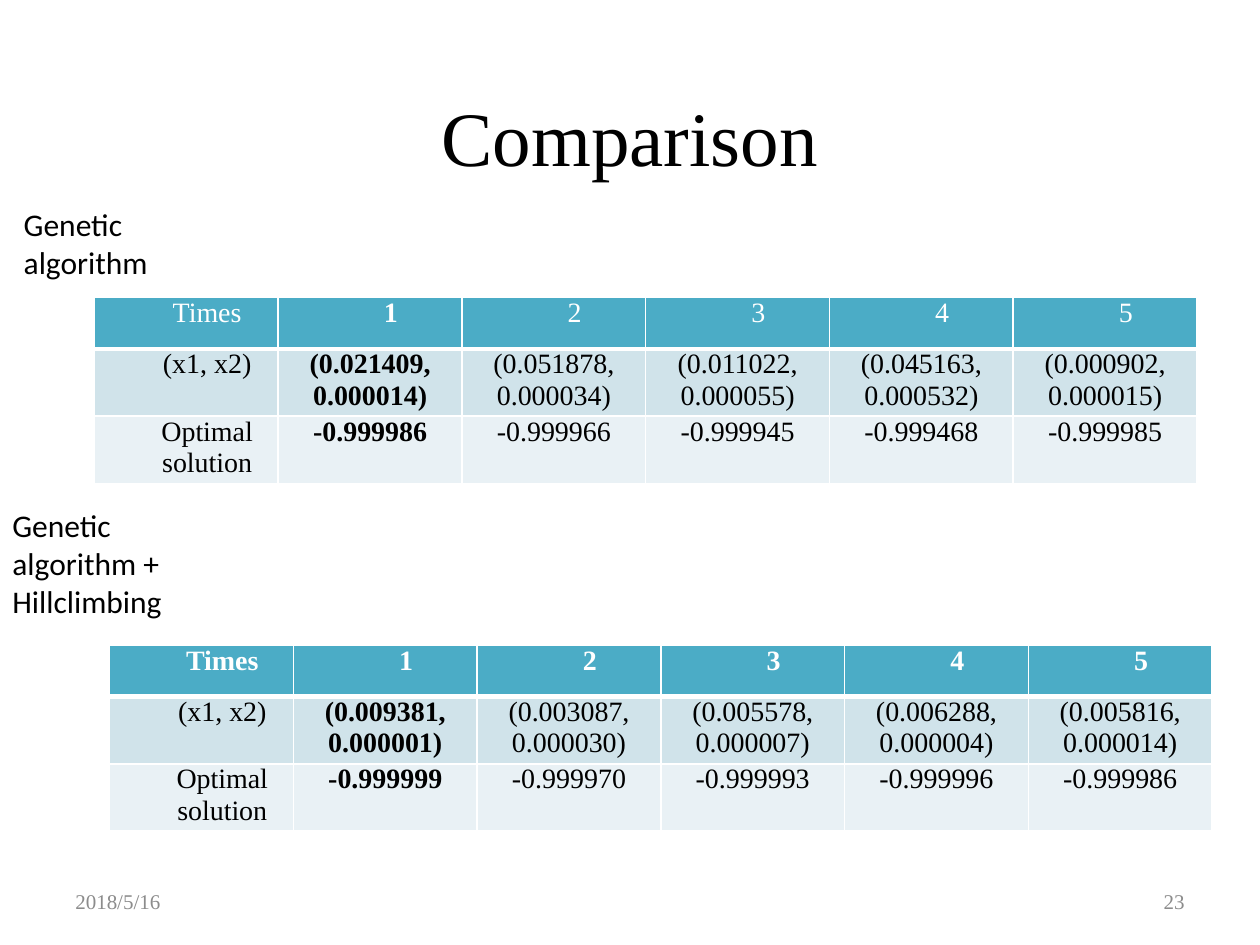
from dataclasses import dataclass

from lxml.etree import SubElement
from pptx import Presentation
from pptx.dml.color import RGBColor
from pptx.enum.text import MSO_ANCHOR, MSO_AUTO_SIZE, PP_ALIGN
from pptx.oxml.ns import qn
from pptx.util import Inches, Pt


@dataclass(frozen=True)
class Theme:
    serif: str = "Times New Roman"
    sans: str = "Calibri"
    black: str = "000000"
    white: str = "FFFFFF"
    grey: str = "8C8C8C"
    row_fills: tuple = ("4BACC6", "D0E3EA", "E9F1F5")
    title_size: int = 44
    label_size: int = 18
    table_size: int = 16
    footer_size: int = 12
    thin_line: int = 1
    thick_line: int = 3


class SlideBuilder:
    """Places elements on a grid of 100 columns by 75 rows."""

    def __init__(self, presentation, theme):
        self.theme = theme
        self.column = presentation.slide_width / 100
        self.row = presentation.slide_height / 75
        title_only = presentation.slide_layouts[5]
        self.slide = presentation.slides.add_slide(title_only)

    def area(self, left, top, width, height):
        return (round(left * self.column), round(top * self.row),
                round(width * self.column), round(height * self.row))

    def styled_text(self, text_frame, text, font, size, color,
                    bold=False, align=PP_ALIGN.LEFT):
        text_frame.text = text
        paragraph = text_frame.paragraphs[0]
        paragraph.alignment = align
        style = paragraph.runs[0].font
        style.name, style.size, style.bold = font, Pt(size), bold
        style.color.rgb = RGBColor.from_string(color)
        return paragraph

    def title(self, text, area):
        shape = self.slide.shapes.title
        shape.left, shape.top, shape.width, shape.height = self.area(*area)
        shape.text_frame.vertical_anchor = MSO_ANCHOR.MIDDLE
        self.styled_text(shape.text_frame, text, self.theme.serif,
                         self.theme.title_size, self.theme.black,
                         align=PP_ALIGN.CENTER)

    def text_box(self, area):
        text_frame = self.slide.shapes.add_textbox(*self.area(*area)).text_frame
        text_frame.word_wrap = True
        return text_frame

    def label(self, text, area):
        text_frame = self.text_box(area)
        text_frame.auto_size = MSO_AUTO_SIZE.SHAPE_TO_FIT_TEXT
        self.styled_text(text_frame, text, self.theme.sans,
                         self.theme.label_size, self.theme.black)

    def footer(self, text, area, align):
        text_frame = self.text_box(area)
        text_frame.vertical_anchor = MSO_ANCHOR.MIDDLE
        self.styled_text(text_frame, text, self.theme.serif,
                         self.theme.footer_size, self.theme.grey, align=align)

    def border(self, cell, side, width):
        line = SubElement(cell._tc.get_or_add_tcPr(), qn(f"a:ln{side}"),
                          w=str(Pt(width)))
        solid_fill = SubElement(line, qn("a:solidFill"))
        SubElement(solid_fill, qn("a:srgbClr"), val=self.theme.white)

    def cell(self, cell, text, row, column, bold):
        theme = self.theme
        cell.margin_left = cell.margin_right = Inches(0.07)
        cell.margin_top = cell.margin_bottom = 0
        color = theme.white if row == 0 else theme.black
        paragraph = self.styled_text(cell.text_frame, text, theme.serif,
                                     theme.table_size, color, bold,
                                     PP_ALIGN.CENTER)
        if row == 0 or column == 0:
            paragraph._p.get_or_add_pPr().set("marL", str(Inches(0.33)))
        widths = {"L": theme.thin_line, "R": theme.thin_line,
                  "T": theme.thick_line if row == 1 else theme.thin_line,
                  "B": theme.thick_line if row == 0 else theme.thin_line}
        for side, width in widths.items():
            self.border(cell, side, width)
        cell.fill.solid()
        cell.fill.fore_color.rgb = RGBColor.from_string(theme.row_fills[row])

    def results_table(self, rows, left, top, bold_header):
        """Adds a table whose first result column is bold."""
        area = self.area(left, top, 87.5, 4.1 * len(rows))
        table = self.slide.shapes.add_table(len(rows), len(rows[0]), *area).table
        for row, texts in enumerate(rows):
            for column, text in enumerate(texts):
                bold = column == 1 or (row == 0 and bold_header)
                self.cell(table.cell(row, column), text, row, column, bold)


HEADER = ["Times", "1", "2", "3", "4", "5"]
GENETIC = [
    HEADER,
    ["(x1, x2)", "(0.021409, 0.000014)", "(0.051878, 0.000034)",
     "(0.011022, 0.000055)", "(0.045163, 0.000532)", "(0.000902, 0.000015)"],
    ["Optimal solution", "-0.999986", "-0.999966", "-0.999945",
     "-0.999468", "-0.999985"],
]
HILLCLIMBING = [
    HEADER,
    ["(x1, x2)", "(0.009381, 0.000001)", "(0.003087, 0.000030)",
     "(0.005578, 0.000007)", "(0.006288, 0.000004)", "(0.005816, 0.000014)"],
    ["Optimal solution", "-0.999999", "-0.999970", "-0.999993",
     "-0.999996", "-0.999986"],
]


def main():
    presentation = Presentation()
    presentation.slide_width, presentation.slide_height = Inches(10), Inches(7.5)
    builder = SlideBuilder(presentation, Theme())
    builder.footer("2018/5/16", (5, 69.5, 23.3, 4), PP_ALIGN.LEFT)
    builder.footer("23", (71.7, 69.5, 23.3, 4), PP_ALIGN.RIGHT)
    builder.title("Comparison", (5, 4.5, 90, 12.5))
    builder.results_table(GENETIC, 7.5, 23.6, bold_header=False)
    builder.results_table(HILLCLIMBING, 8.7, 51.2, bold_header=True)
    builder.label("Genetic algorithm", (0.9, 15.8, 12.3, 7.1))
    builder.label("Genetic algorithm + Hillclimbing", (0, 39.7, 14, 10.1))
    presentation.save("out.pptx")


if __name__ == "__main__":
    main()
